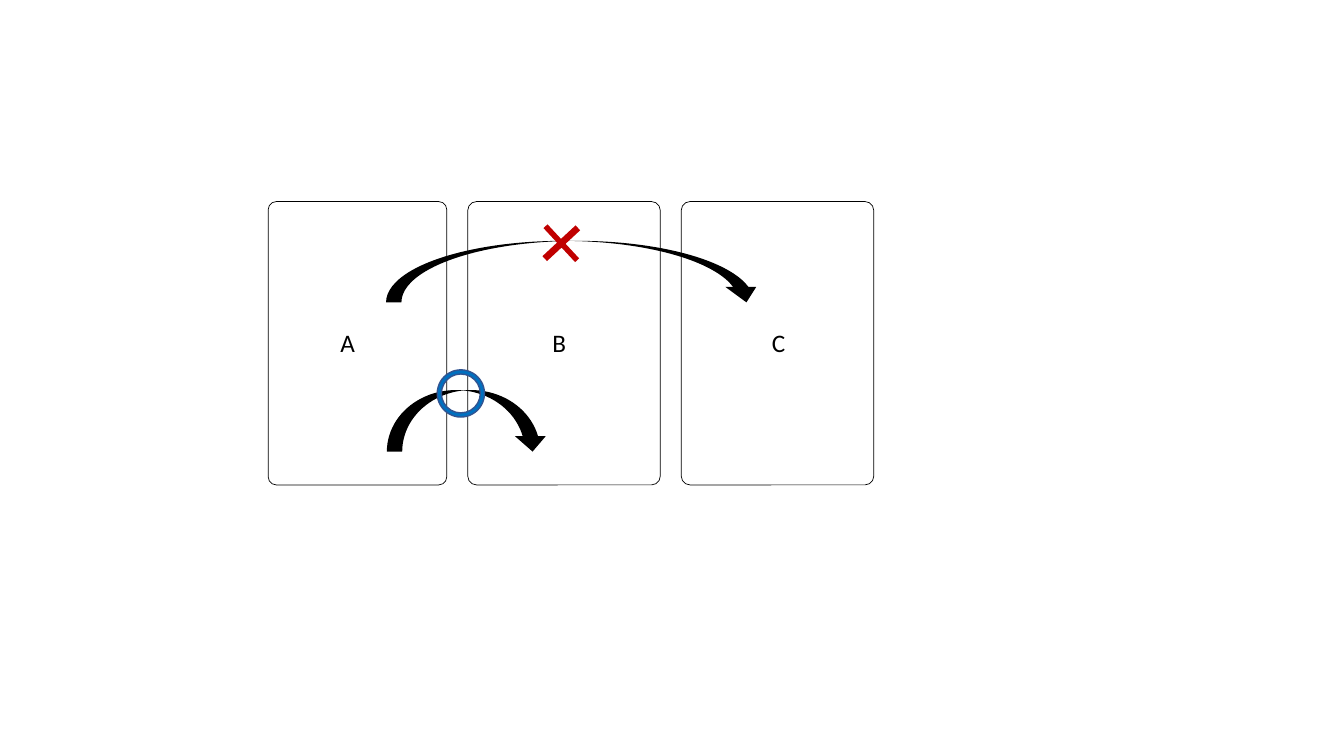
"""Build a slide with three cards, an allowed step from A to B and a forbidden jump from A to C."""
import pptx
import pptx.dml.color
import pptx.enum.shapes
import pptx.util

Cm = pptx.util.Cm
Pt = pptx.util.Pt
RGBColor = pptx.dml.color.RGBColor
SHAPE = pptx.enum.shapes.MSO_SHAPE

BLACK = RGBColor(0x00, 0x00, 0x00)
BLUE = RGBColor(0x00, 0x70, 0xC0)
DARK_BLUE = RGBColor(0x32, 0x54, 0x91)
RED = RGBColor(0xC0, 0x00, 0x00)

CARD_TOP, CARD_HEIGHT, CARD_GAP = 5.08, 7.14, 0.53

presentation = pptx.Presentation()
presentation.slide_width = Cm(33.87)
presentation.slide_height = Cm(19.05)
slide = presentation.slides.add_slide(presentation.slide_layouts[6])


def add_shape(kind, left, top, width, height, fill=None, line=None, line_width=1):
    """Add a preset shape, measured in centimetres, without a shadow."""
    shape = slide.shapes.add_shape(kind, Cm(left), Cm(top), Cm(width), Cm(height))
    shape.shadow.inherit = False
    if fill is None:
        shape.fill.background()
    else:
        shape.fill.solid()
        shape.fill.fore_color.rgb = fill
    if line is None:
        shape.line.fill.background()
    else:
        shape.line.color.rgb = line
        shape.line.width = Pt(line_width)
    return shape


card_left = 6.76
for card_width in (4.5, 4.85, 4.85):
    card = add_shape(SHAPE.ROUNDED_RECTANGLE, card_left, CARD_TOP, card_width, CARD_HEIGHT,
                     line=BLACK, line_width=0.5)
    card.adjustments[0] = 0.045
    card_left += card_width + CARD_GAP

for letter, letter_left in (("A", 8.33), ("B", 13.67), ("C", 19.2)):
    label = slide.shapes.add_textbox(Cm(letter_left), Cm(8.13), Cm(0.99), Cm(1.02))
    label.text_frame.word_wrap = True
    label.text_frame.text = letter
    font = label.text_frame.paragraphs[0].runs[0].font
    font.name = "Calibri"
    font.size = Pt(18)
    font.color.rgb = BLACK

for arrow_left, arrow_top, arrow_width in ((9.75, 9.83, 4.06), (9.73, 6.07, 9.47)):
    add_shape(SHAPE.CURVED_DOWN_ARROW, arrow_left, arrow_top, arrow_width, 1.55, fill=BLACK)

allowed_ring = add_shape(SHAPE.DONUT, 11.02, 9.32, 1.19, 1.19, fill=BLUE, line=DARK_BLUE)
allowed_ring.adjustments[0] = 0.088

forbidden_cross = add_shape(SHAPE.CROSS, 13.56, 5.56, 1.17, 1.14, fill=RED)
forbidden_cross.adjustments[0] = 0.439
forbidden_cross.rotation = 47.1

presentation.save("out.pptx")
